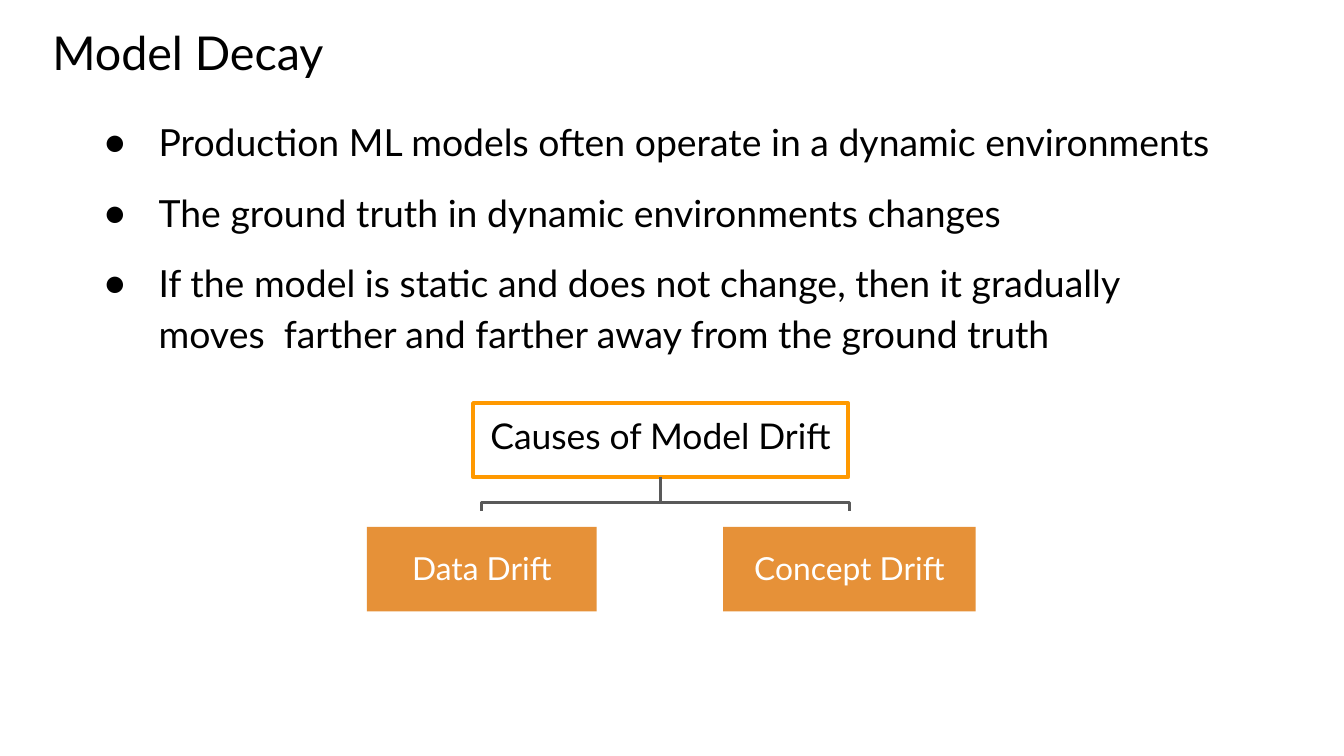
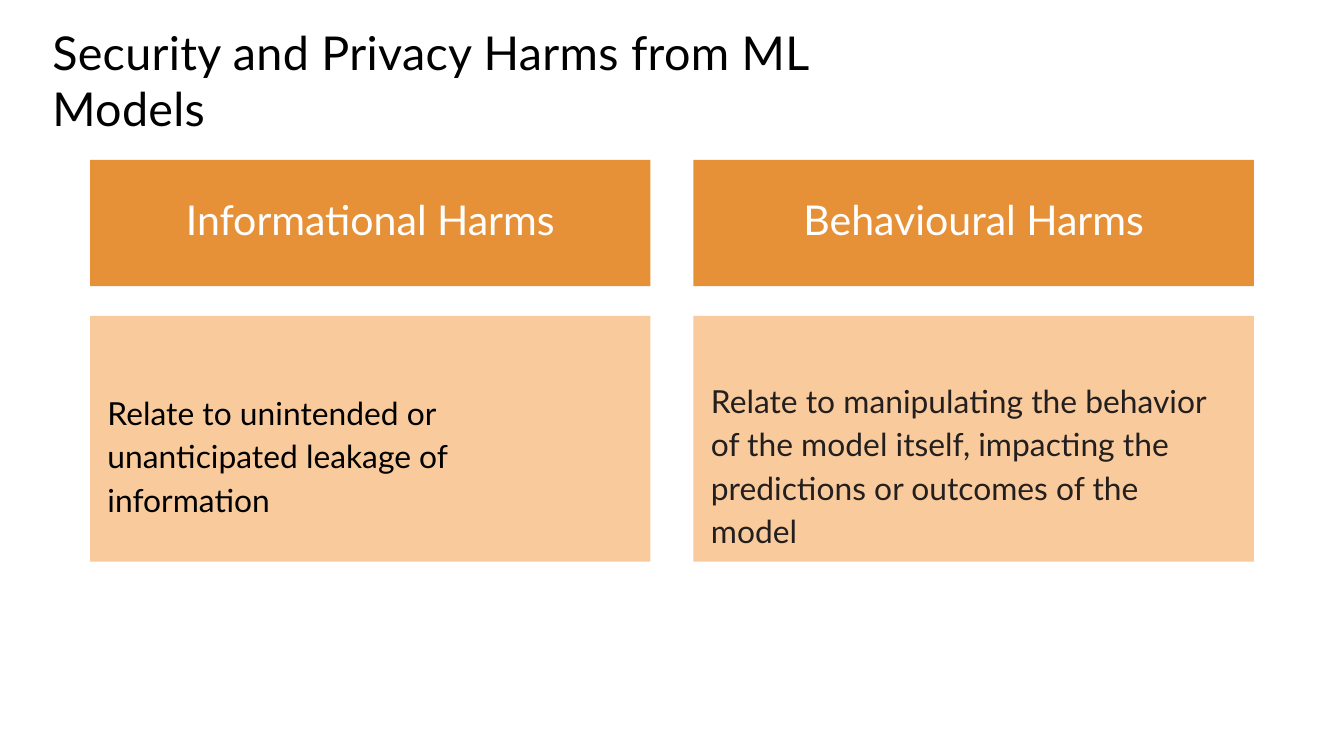
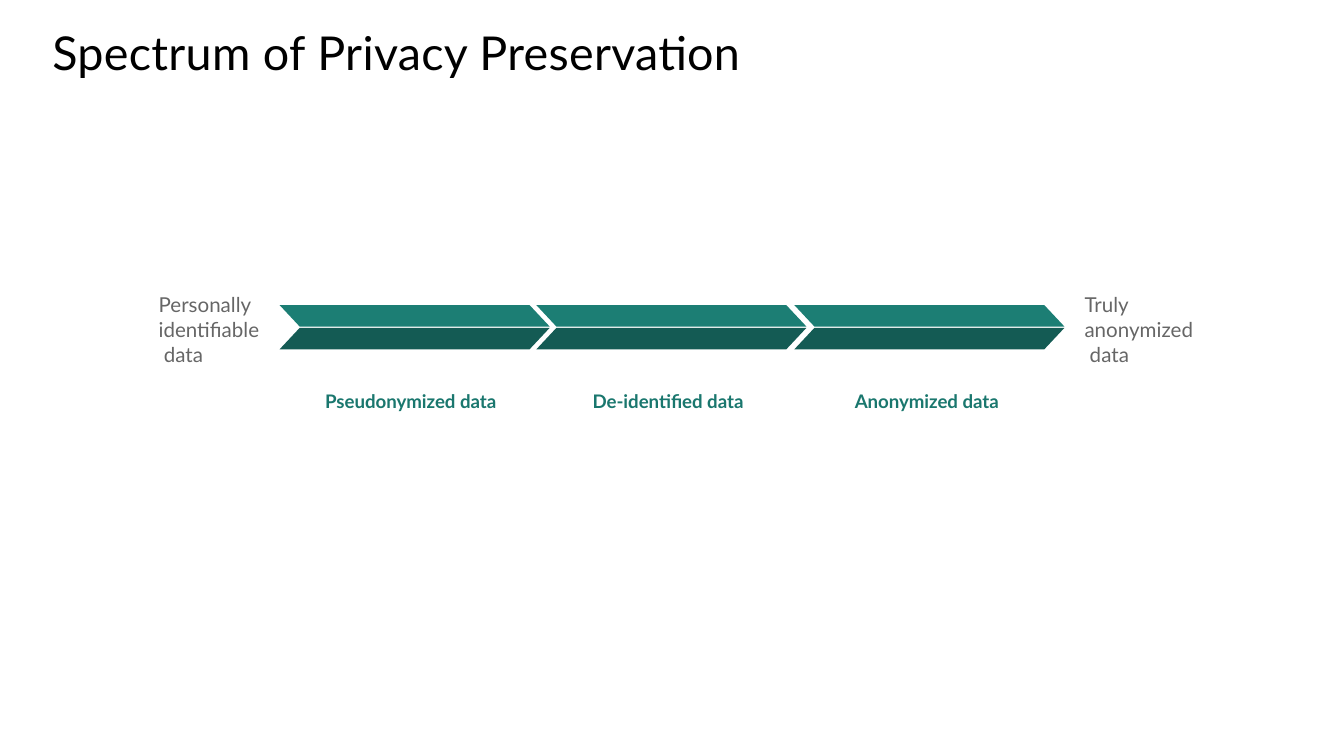
from pptx import Presentation
from pptx.dml.color import RGBColor
from pptx.enum.shapes import MSO_SHAPE
from pptx.enum.text import MSO_ANCHOR, PP_ALIGN
from pptx.oxml.ns import qn
from pptx.util import Inches, Pt
from lxml import etree

FONT = "Lato"
COLORS = {
    "text": "000000", "dark": "231F1F", "white": "FFFFFF", "grey": "666666",
    "orange": "E69138", "peach": "F9CA9C", "outline": "FF9900",
    "branch": "595959", "teal": "1C7E74", "deep_teal": "145B54",
    "label": "1A776E",
}


def rgb(name):
    return RGBColor.from_string(COLORS[name])


def write(sp, texts, size, color, top=0, left=0, right=0,
          align=PP_ALIGN.LEFT, bold=False, spacing=None):
    """Fill a shape with paragraphs of one style and return them."""
    tf = sp.text_frame
    tf.word_wrap = True
    tf.vertical_anchor = MSO_ANCHOR.TOP
    tf.margin_left, tf.margin_right = Inches(left), Inches(right)
    tf.margin_top, tf.margin_bottom = Inches(top), 0
    for i, text in enumerate(texts):
        p = tf.add_paragraph() if i else tf.paragraphs[0]
        p.text = text
        p.alignment = align
        p.line_spacing = spacing
        p.font.name, p.font.size, p.font.bold = FONT, Pt(size), bold
        p.font.color.rgb = rgb(color)
    return tf.paragraphs


def add_text(s, box, texts, size, color, **style):
    sp = s.shapes.add_textbox(*map(Inches, box))
    return write(sp, texts, size, color, **style)


def add_title(s, text, width, tracking=0):
    """Title line; tracking is in hundredths of a point."""
    p = add_text(s, (0.38, 0.17, width, 0.45), [text], 25, "text",
                 top=0.01, left=0.01)[0]
    p._p.pPr.find(qn("a:defRPr")).set("spc", str(tracking))


def paint(sp, fill=None, line=None, weight=1):
    sp.shadow.inherit = False
    if fill:
        sp.fill.solid()
        sp.fill.fore_color.rgb = rgb(fill)
    else:
        sp.fill.background()
    if line:
        sp.line.color.rgb = rgb(line)
        sp.line.width = Pt(weight)
    else:
        sp.line.fill.background()


def add_box(s, box, text, size, color, fill=None, line=None, **style):
    sp = s.shapes.add_shape(MSO_SHAPE.RECTANGLE, *map(Inches, box))
    paint(sp, fill, line, 2.25)
    write(sp, [text], size, color, **style)


def add_outline(s, points, close, **look):
    points = [(Inches(x), Inches(y)) for x, y in points]
    builder = s.shapes.build_freeform(*points[0])
    builder.add_line_segments(points[1:], close=close)
    paint(builder.convert_to_shape(), **look)


def add_bullets(s, box, texts):
    gaps = (0, 13.6, 10)
    spacings = (1.0, 1.0, 1.15)
    paragraphs = add_text(s, box, texts, 20, "text", top=0.21)
    for p, gap, spacing in zip(paragraphs, gaps, spacings):
        p.space_before, p.line_spacing = Pt(gap), spacing
        pPr = p._p.get_or_add_pPr()
        pPr.set("marL", str(Inches(0.41)))
        pPr.set("indent", str(-Inches(0.4)))
        # Bullet marks go before the default run style
        font = pPr.find(qn("a:defRPr"))
        for tag, key, value in (("a:buSzPct", "val", "90000"),
                                ("a:buFont", "typeface", FONT),
                                ("a:buChar", "char", "●")):
            mark = etree.Element(qn(tag))
            mark.set(key, value)
            font.addprevious(mark)


def add_cause_tree(s, left, top):
    """Root box, two branches and two causes below."""
    width, height = 2.79, 0.55
    add_box(s, (left, top, width, height), "Causes of Model Drift", 19, "text",
            line="outline", top=0.08, align=PP_ALIGN.CENTER)
    root_x, root_y = left + width / 2, top + height
    causes = (("Data Drift", -0.79, 1.71), ("Concept Drift", 1.86, 1.88))
    for name, dx, w in causes:
        x = left + dx
        add_box(s, (x, top + 0.92, w, 0.63), name, 17, "white",
                fill="orange", top=0.16, align=PP_ALIGN.CENTER)
        end_x = x + w / 2
        add_outline(s, [(root_x, root_y), (root_x, root_y + 0.19),
                        (end_x, root_y + 0.19), (end_x, root_y + 0.25)],
                    close=False, line="branch", weight=1.5)


def add_harm(s, left, top, heading, body, color, body_top, body_right):
    """Heading band with its description panel."""
    width = 4.17
    add_box(s, (left, top, width, 0.94), heading, 22, "white",
            fill="orange", top=0.26, align=PP_ALIGN.CENTER)
    add_box(s, (left, top + 1.16, width, 1.83), body, 17, color, fill="peach",
            top=body_top, left=0.13, right=body_right, spacing=1.14)


def add_chevron(s, left, top):
    """Arrow segment made of a light upper and a dark lower half."""
    width, half, notch = 2.01, 0.16, 0.15
    lower = top + half + 0.01
    inner, shoulder, tip = left + notch, left + width - notch, left + width
    add_outline(s, [(left, top), (shoulder, top), (tip, top + half),
                    (inner, top + half)], close=True, fill="teal")
    add_outline(s, [(inner, lower), (tip, lower), (shoulder, lower + half),
                    (left, lower + half)], close=True, fill="deep_teal")


def add_spectrum(s, top):
    stages = (("Pseudonymized data", 2.08, 2.41, 1.32),
              ("De-identiﬁed data", 3.99, 4.4, 1.16),
              ("Anonymized data", 5.91, 6.35, 1.11))
    for name, arrow_x, label_x, label_w in stages:
        add_chevron(s, arrow_x, top)
        add_text(s, (label_x, top + 0.61, label_w, 0.19), [name], 10, "label",
                 top=0.02, left=0.01, bold=True)
    # Both ends of the spectrum
    ends = (("Personally \videntiﬁable\v data", 1.17, 0.78),
            ("Truly \vanonymized\v data", 8.06, 0.84))
    for name, x, w in ends:
        add_text(s, (x, top - 0.11, w, 0.59), [name], 11, "grey",
                 top=0.01, left=0.01, spacing=1.02)


def model_decay(s):
    add_title(s, "Model Decay", 2.04)
    add_bullets(s, (0.77, 0.68, 8.28, 1.98), [
        "Production ML models often operate in a dynamic environments",
        "The ground truth in dynamic environments changes",
        "If the model is static and does not change, then it gradually "
        "moves  farther and farther away from the ground truth",
    ])
    add_cause_tree(s, 3.52, 3)


def harms(s):
    add_title(s, "Security and Privacy Harms from ML Models", 6.81, tracking=20)
    add_harm(s, 0.67, 1.19, "Informational Harms",
             "Relate to unintended or \vunanticipated leakage of information",
             "text", 0.54, 0.8)
    add_harm(s, 5.16, 1.19, "Behavioural Harms",
             "Relate to manipulating the behavior \vof the model itself, "
             "impacting the \vpredictions or outcomes of the model",
             "dark", 0.45, 0.23)


def privacy_spectrum(s):
    add_title(s, "Spectrum of Privacy Preservation", 5.17, tracking=20)
    add_spectrum(s, 2.27)


def main():
    prs = Presentation()
    # Widescreen, 16:9
    prs.slide_width = Inches(10)
    prs.slide_height = prs.slide_width * 9 // 16
    for build in (model_decay, harms, privacy_spectrum):
        build(prs.slides.add_slide(prs.slide_layouts[6]))
    prs.save("out.pptx")


if __name__ == "__main__":
    main()
